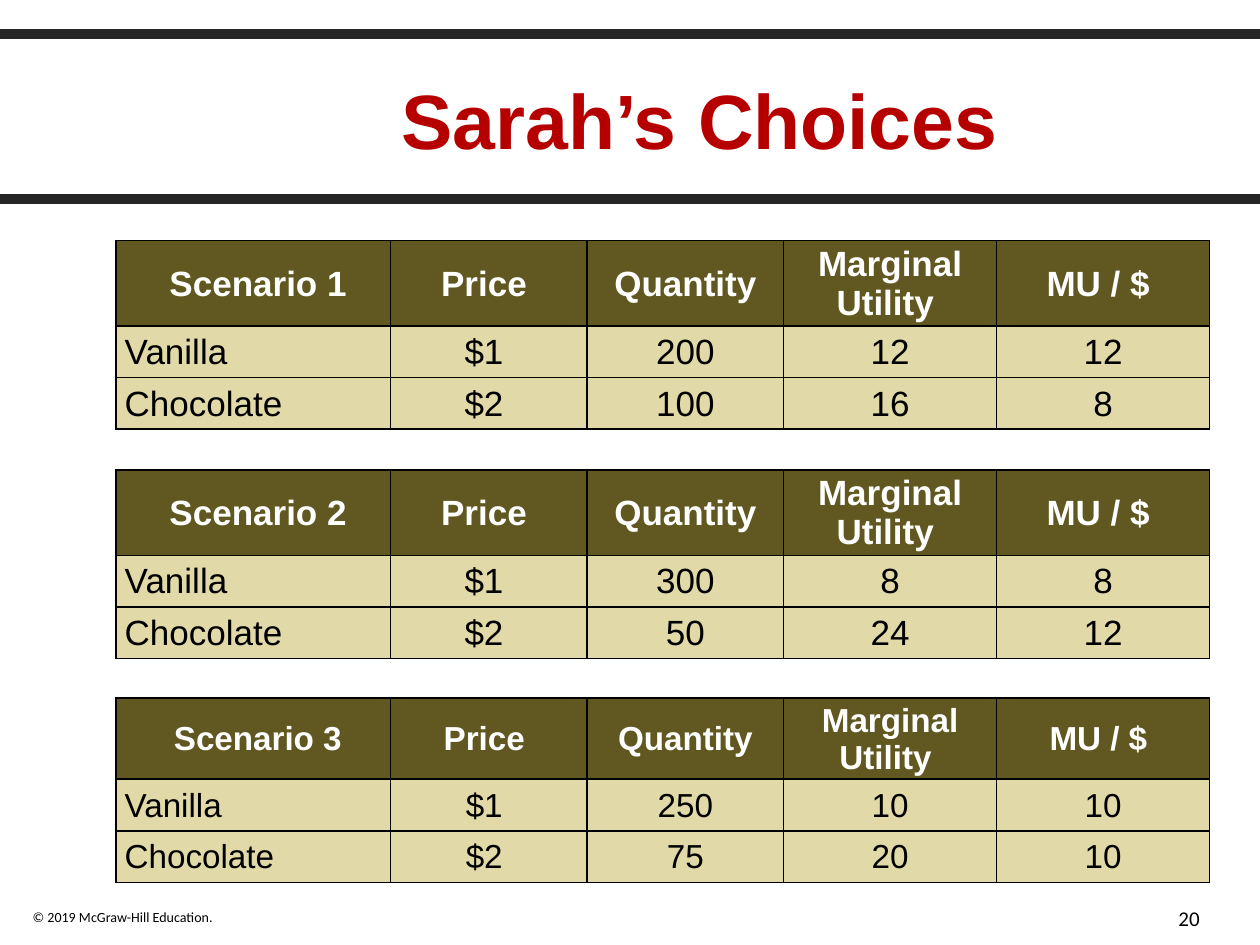
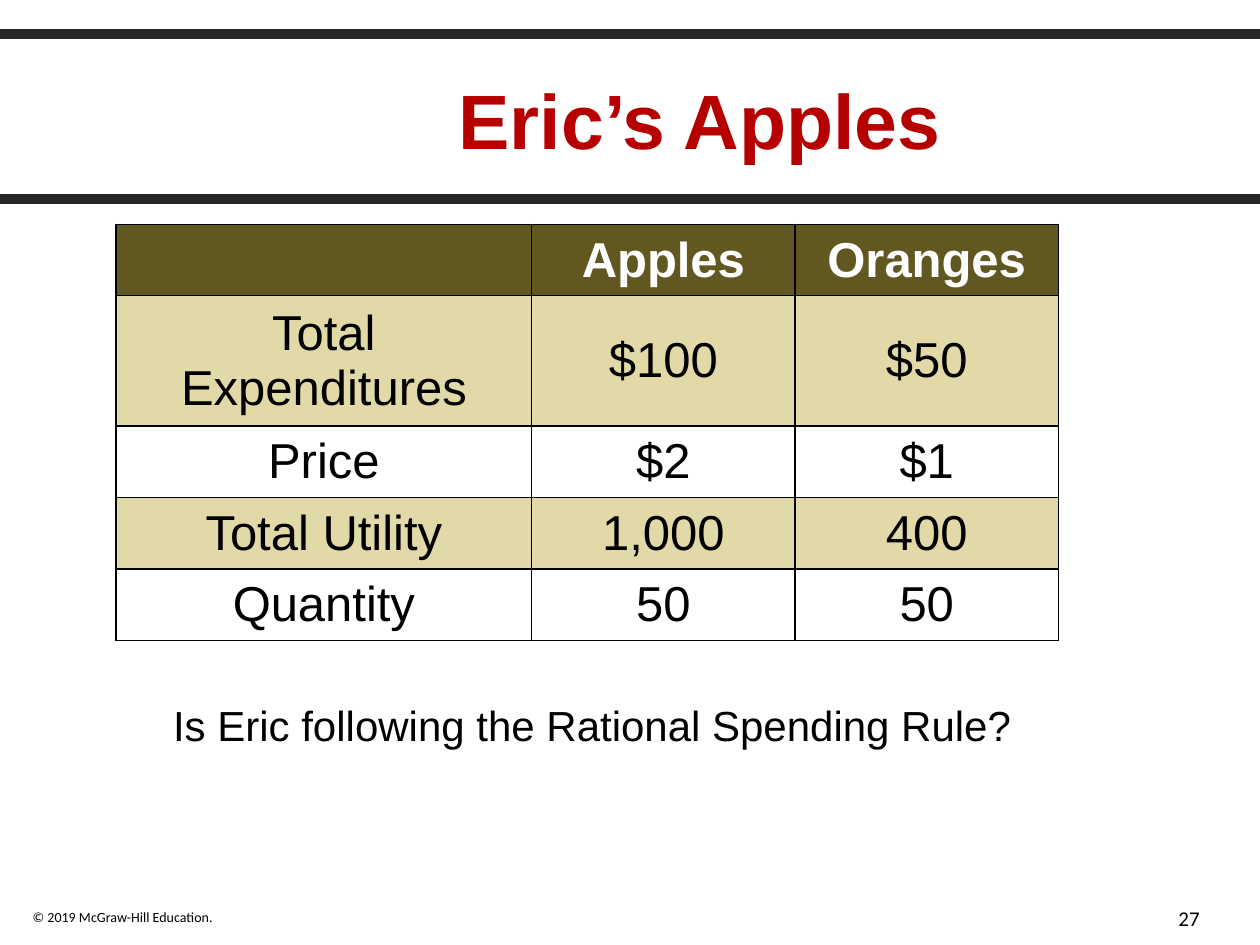
import dataclasses

import lxml.etree
import pptx
import pptx.dml.color
import pptx.enum.shapes
import pptx.enum.text
import pptx.oxml.ns
import pptx.util

Inches = pptx.util.Inches
Pt = pptx.util.Pt
Align = pptx.enum.text.PP_ALIGN
Anchor = pptx.enum.text.MSO_ANCHOR
Fit = pptx.enum.text.MSO_AUTO_SIZE
qn = pptx.oxml.ns.qn


@dataclasses.dataclass(frozen=True)
class Theme:
    red: str = "B60000"
    rule: str = "262626"
    olive: str = "615821"
    sand: str = "E1D9A7"
    black: str = "000000"
    white: str = "FFFFFF"
    face: str = "Arial"
    small: str = "Calibri"
    title: int = 44
    large: int = 28
    body: int = 24
    grid: int = 20
    tight: int = 19
    page: int = 12
    foot: int = 8
    band: float = 5.5
    edge: int = 1


def color(code):
    return pptx.dml.color.RGBColor.from_string(code)


class Deck:
    def __init__(self, theme):
        self.theme = theme
        self.file = pptx.Presentation()
        self.file.slide_width = Inches(10)
        self.file.slide_height = Inches(7.5)
        self.slide = None

    def start(self, title, page, layout):
        theme = self.theme
        self.slide = self.file.slides.add_slide(self.file.slide_layouts[layout])
        for top in (1.58, 0.27):
            self.rule(top)
        self.label("© 2019 McGraw-Hill Education.", (0.16, 7.16, 1.65, 0.24),
                   theme.foot, Align.LEFT, False)
        self.label(str(page), (8.54, 7.14, 1.08, 0.3), theme.page, Align.RIGHT)
        self.holder(self.slide.shapes.title, title, (1.14, 0.3, 8.83, 1.28),
                    theme.title, theme.red, True, Anchor.MIDDLE)

    def style(self, para, size, tint, bold=False, align=Align.CENTER, face=None):
        para.alignment = align
        font = para.font
        font.name = face or self.theme.face
        font.size = Pt(size)
        font.bold = bold
        font.color.rgb = color(tint)

    def rule(self, top):
        line = self.slide.shapes.add_connector(
            pptx.enum.shapes.MSO_CONNECTOR.STRAIGHT,
            Inches(0), Inches(top), Inches(10), Inches(top))
        line.line.color.rgb = color(self.theme.rule)
        line.line.width = Pt(self.theme.band)
        props = line._element.find(qn("p:spPr"))
        lxml.etree.SubElement(props, qn("a:effectLst"))

    def label(self, text, place, size, align, wrap=True):
        frame = self.slide.shapes.add_textbox(*map(Inches, place)).text_frame
        frame.word_wrap = wrap
        frame.text = text
        self.style(frame.paragraphs[0], size, self.theme.black,
                   align=align, face=self.theme.small)

    def holder(self, shape, text, place, size, tint, bold, anchor):
        shape.left, shape.top, shape.width, shape.height = map(Inches, place)
        frame = shape.text_frame
        frame.text = text
        frame.word_wrap = True
        frame.auto_size = Fit.NONE
        frame.vertical_anchor = anchor
        para = frame.paragraphs[0]
        props = para._p.get_or_add_pPr()
        props.set("marL", "0")
        props.set("indent", "0")
        lxml.etree.SubElement(props, qn("a:buNone"))
        para.space_before = Pt(0)
        self.style(para, size, tint, bold)

    def body(self, text, place):
        self.holder(self.slide.placeholders[1], text, place,
                    self.theme.body, self.theme.black, False, Anchor.TOP)

    def border(self, cell):
        props = cell._tc.get_or_add_tcPr()
        for side in ("lnL", "lnR", "lnT", "lnB"):
            line = lxml.etree.SubElement(props, qn("a:" + side),
                                         w=str(Pt(self.theme.edge)))
            fill = lxml.etree.SubElement(line, qn("a:solidFill"))
            lxml.etree.SubElement(fill, qn("a:srgbClr"), val=self.theme.black)

    def table(self, rows, place, widths, heights, size, inset, fills, indent=None):
        theme = self.theme
        frame = self.slide.shapes.add_table(
            len(rows), len(widths), *map(Inches, place),
            Inches(sum(widths)), Inches(sum(heights)))
        table = frame.table
        table.first_row = table.horz_banding = False
        for col, width in zip(table.columns, widths):
            col.width = Inches(width)
        for r, (row, height) in enumerate(zip(rows, heights)):
            table.rows[r].height = Inches(height)
            head = r == 0
            for c, text in enumerate(row):
                cell = table.cell(r, c)
                self.border(cell)
                if fills[r]:
                    cell.fill.solid()
                    cell.fill.fore_color.rgb = color(fills[r])
                else:
                    cell.fill.background()
                (cell.margin_left, cell.margin_top,
                 cell.margin_right, cell.margin_bottom) = map(Inches, inset)
                cell.vertical_anchor = Anchor.MIDDLE
                cell.text = text
                para = cell.text_frame.paragraphs[0]
                first = indent is not None and c == 0 and not head
                if first:
                    para._p.get_or_add_pPr().set("marL", str(Inches(indent)))
                self.style(para, size, theme.white if head else theme.black,
                           head, Align.LEFT if first else Align.CENTER)


def main():
    theme = Theme()
    deck = Deck(theme)

    deck.start("Sarah’s Choices", 20, 5)
    cases = (
        (1.91, 0.63, theme.grid, ("200", "12", "12"), ("100", "16", "8")),
        (3.73, 0.63, theme.grid, ("300", "8", "8"), ("50", "24", "12")),
        (5.54, 0.59, theme.tight, ("250", "10", "10"), ("75", "20", "10")),
    )
    for count, (top, head, size, plain, dark) in enumerate(cases, 1):
        rows = (
            (f" Scenario {count}", "Price ", "Quantity", "Marginal Utility ", "MU / $ "),
            ("Vanilla", "$1 ", *plain),
            ("Chocolate", "$2 ", *dark),
        )
        deck.table(rows, (0.92, top), (2.18, 1.56, 1.56, 1.69, 1.69),
                   (head, 0.41, 0.41), size, (0.01, 0.01, 0.01, 0),
                   (theme.olive, theme.sand, theme.sand), 0.06)

    deck.start("Eric’s Apples", 27, 1)
    rows = (
        ("", "Apples", "Oranges"),
        ("Total Expenditures", "$100", "$50"),
        ("Price", "$2", "$1"),
        ("Total Utility", "1,000", "400"),
        ("Quantity", "50", "50"),
    )
    deck.table(rows, (0.92, 1.78), (3.3, 2.09, 2.09),
               (0.53, 0.97, 0.53, 0.53, 0.53), theme.large,
               (0.1, 0.05, 0.1, 0.05),
               (theme.olive, theme.sand, None, theme.sand, None))
    deck.body("Is Eric following the Rational Spending Rule?",
              (1.01, 5.5, 7.38, 0.57))

    deck.file.save("out.pptx")


if __name__ == "__main__":
    main()
